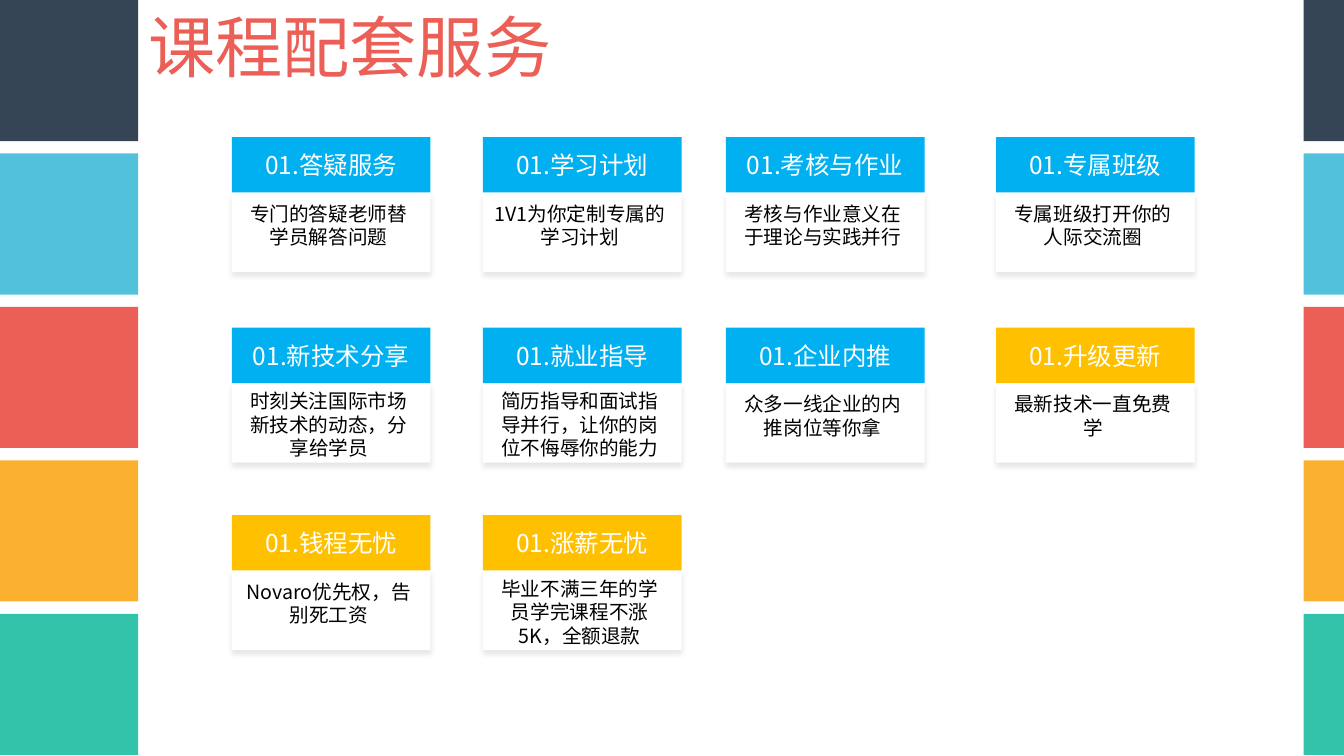
from dataclasses import dataclass

from lxml import etree
from pptx import Presentation
from pptx.dml.color import RGBColor
from pptx.enum import shapes, text
from pptx.oxml import ns
from pptx.util import Inches, Pt


@dataclass(frozen=True)
class Theme:
    font: str = "Noto Sans CJK SC"
    white: str = "FFFFFF"
    black: str = "000000"
    coral: str = "EB5F56"
    blue: str = "00B0F0"
    gold: str = "FFC000"
    bands: tuple = ("364555", "52C2DC", "EB5F56", "FCB030", "33C3AB")
    title_size: float = 48
    heading_size: float = 17.5
    body_size: float = 14


THEME = Theme()
BAND_PITCH, BAND_HEIGHT = 6.09 / 4, 1.4
COLUMN_LEFTS = (2.3, 4.79, 7.2, 9.88)
ROW_TOPS = (1.36, 3.25, 5.11)
CARD_WIDTH, HEADING_HEIGHT, BODY_HEIGHT = 1.97, 0.55, 0.79
TWO_LINE_LENGTH = 16

SERVICES = [
    ("答疑服务", "专门的答疑老师替学员解答问题", THEME.blue),
    ("学习计划", "1V1为你定制专属的学习计划", THEME.blue),
    ("考核与作业", "考核与作业意义在于理论与实践并行", THEME.blue),
    ("专属班级", "专属班级打开你的人际交流圈", THEME.blue),
    ("新技术分享", "时刻关注国际市场新技术的动态，分享给学员", THEME.blue),
    ("就业指导", "简历指导和面试指导并行，让你的岗位不侮辱你的能力", THEME.blue),
    ("企业内推", "众多一线企业的内推岗位等你拿", THEME.blue),
    ("升级更新", "最新技术一直免费学", THEME.gold),
    ("钱程无忧", "Novaro优先权，告别死工资", THEME.gold),
    ("涨薪无忧", "毕业不满三年的学员学完课程不涨5K，全额退款", THEME.gold),
]


def add_block(slide, left, top, width, height, color):
    block = slide.shapes.add_shape(
        shapes.MSO_SHAPE.RECTANGLE,
        Inches(left), Inches(top), Inches(width), Inches(height))
    block.shadow.inherit = False
    block.fill.solid()
    block.fill.fore_color.rgb = RGBColor.from_string(color)
    block.line.fill.background()
    return block


def add_soft_shadow(block):
    """Cast a faint black shadow straight down."""
    effects = block._element.spPr.find(ns.qn("a:effectLst"))
    shadow = etree.SubElement(
        effects, ns.qn("a:outerShdw"), blurRad=str(Pt(4)), dist=str(Pt(3)),
        dir="5400000", algn="t", rotWithShape="0")
    color = etree.SubElement(shadow, ns.qn("a:srgbClr"), val=THEME.black)
    etree.SubElement(color, ns.qn("a:alpha"), val="9000")


def write(frame, words, size, color, align):
    paragraph = frame.paragraphs[0]
    paragraph.text = words
    paragraph.alignment = align
    font = paragraph.font
    font.size = Pt(size)
    font.color.rgb = RGBColor.from_string(color)
    font.name = THEME.font
    # Chinese glyphs take their typeface from a:ea
    defaults = paragraph._p.pPr.find(ns.qn("a:defRPr"))
    etree.SubElement(defaults, ns.qn("a:ea"), typeface=THEME.font)


def add_label(slide, left, top, width, height, words, size, color,
              align=text.PP_ALIGN.LEFT, wrap=True):
    label = slide.shapes.add_textbox(
        Inches(left), Inches(top), Inches(width), Inches(height))
    frame = label.text_frame
    frame.word_wrap = wrap
    frame.auto_size = text.MSO_AUTO_SIZE.SHAPE_TO_FIT_TEXT
    write(frame, words, size, color, align)


def add_side_bands(slide, left, width):
    for index, color in enumerate(THEME.bands):
        add_block(slide, left, index * BAND_PITCH, width, BAND_HEIGHT, color)


def add_service_card(slide, left, top, name, description, color):
    body_top = top + HEADING_HEIGHT
    body = add_block(slide, left, body_top, CARD_WIDTH, BODY_HEIGHT, THEME.white)
    add_soft_shadow(body)

    heading = add_block(slide, left, top, CARD_WIDTH, HEADING_HEIGHT, color)
    heading.text_frame.vertical_anchor = text.MSO_ANCHOR.MIDDLE
    write(heading.text_frame, f"01.{name}", THEME.heading_size, THEME.white,
          text.PP_ALIGN.CENTER)

    fits_two_lines = len(description) <= TWO_LINE_LENGTH
    offset, height = (0.04, 0.57) if fits_two_lines else (0.01, 0.81)
    add_label(slide, left, body_top + offset, 1.92, height, description,
              THEME.body_size, THEME.black, text.PP_ALIGN.CENTER)


def main():
    deck = Presentation()
    deck.slide_width, deck.slide_height = Inches(13.33), Inches(7.5)
    slide = deck.slides.add_slide(deck.slide_layouts[6])

    add_side_bands(slide, 0, 1.37)
    add_side_bands(slide, 12.93, 0.4)
    add_label(slide, 1.37, 0, 4.24, 0.91, "课程配套服务",
              THEME.title_size, THEME.coral, wrap=False)
    for index, service in enumerate(SERVICES):
        row, column = divmod(index, len(COLUMN_LEFTS))
        add_service_card(slide, COLUMN_LEFTS[column], ROW_TOPS[row], *service)

    deck.save("out.pptx")


if __name__ == "__main__":
    main()
